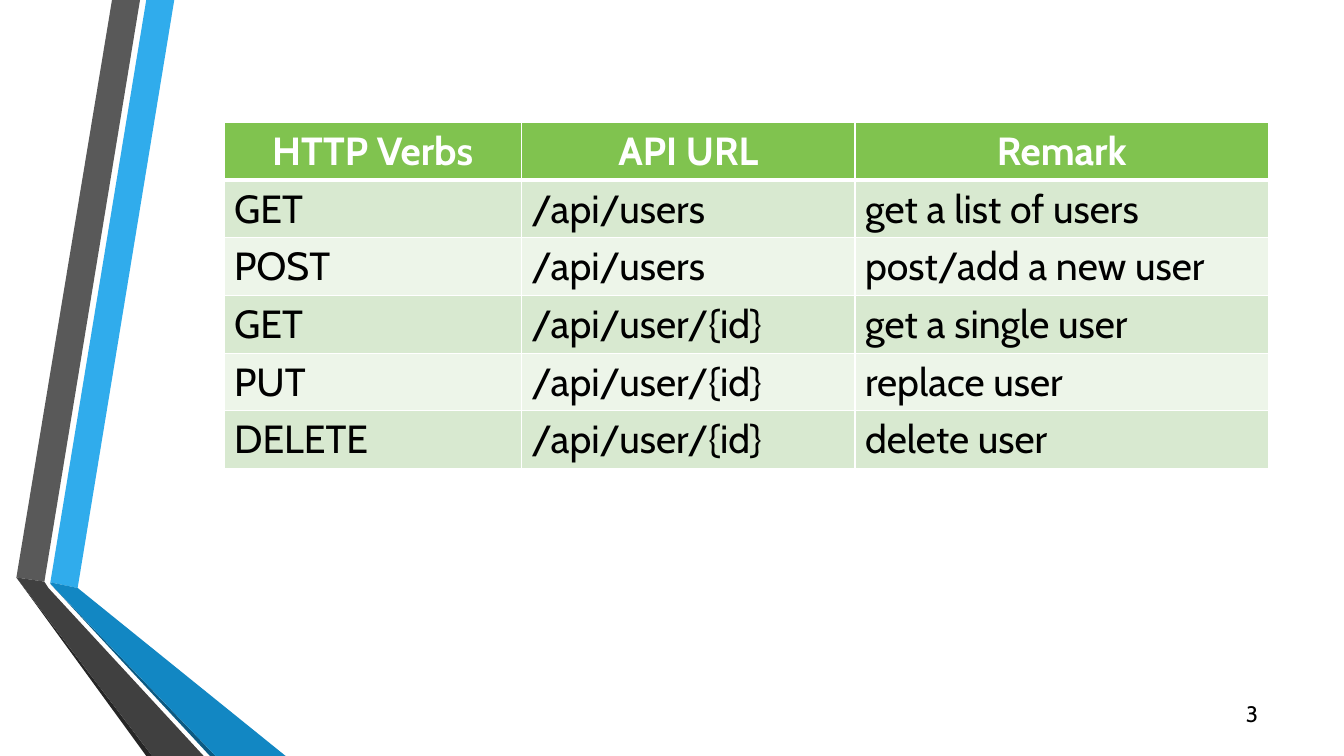
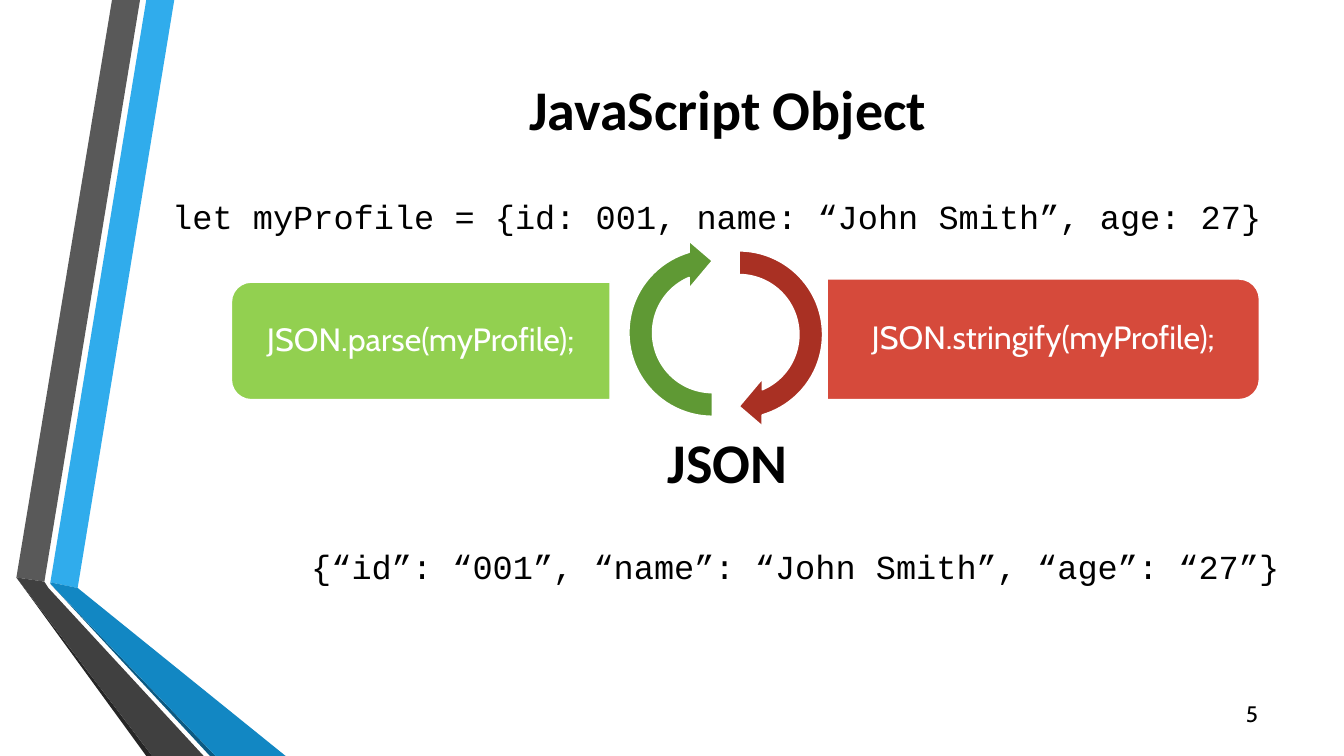
from lxml import etree
from pptx import Presentation
from pptx.dml.color import RGBColor
from pptx.enum.shapes import MSO_SHAPE
from pptx.enum.text import MSO_ANCHOR, PP_ALIGN
from pptx.oxml.ns import qn
from pptx.util import Pt

LEFT, CENTER, RIGHT = PP_ALIGN.LEFT, PP_ALIGN.CENTER, PP_ALIGN.RIGHT
TOP, MIDDLE = MSO_ANCHOR.TOP, MSO_ANCHOR.MIDDLE
ROUNDED_TOP = MSO_SHAPE.ROUND_2_SAME_RECTANGLE
CIRCULAR_ARROW = MSO_SHAPE.CIRCULAR_ARROW

# Colours
WHITE = RGBColor(0xFF, 0xFF, 0xFF)
BLACK = RGBColor(0x00, 0x00, 0x00)
SKY_BLUE = RGBColor(0x30, 0xAC, 0xEC)
BLUE = RGBColor(0x12, 0x87, 0xC3)
NAVY = RGBColor(0x0C, 0x5A, 0x82)
LIGHT_GRAY = RGBColor(0x59, 0x59, 0x59)
DARK_GRAY = RGBColor(0x40, 0x40, 0x40)
CHARCOAL = RGBColor(0x26, 0x26, 0x26)
HEADER_GREEN = RGBColor(0x80, 0xC3, 0x4F)
ROW_GREEN = RGBColor(0xD8, 0xE9, 0xD0)
ROW_PALE = RGBColor(0xED, 0xF5, 0xE9)
LIME = RGBColor(0x92, 0xD0, 0x50)
LEAF = RGBColor(0x5F, 0x99, 0x34)
RED = RGBColor(0xD6, 0x4A, 0x3B)
DARK_RED = RGBColor(0xA9, 0x30, 0x23)

# Folded bands at the left edge, as outlines in points
BANDS = [
    (SKY_BLUE, [(36, 416), (55.5, 420), (124.5, 0), (104.5, 0)]),
    (LIGHT_GRAY, [(100, 0), (80, 0), (11.7, 412.5), (31.7, 415.5)]),
    (CHARCOAL, [(11.7, 412.5), (104.5, 540), (108.7, 540)]),
    (NAVY, [(36, 417), (150, 540), (154, 540)]),
    (BLUE, [(36, 416), (36, 417), (154, 540), (204, 540), (55.5, 420)]),
    (DARK_GRAY, [(145.5, 540), (34.6, 420), (31.7, 415.5), (11.7, 412.5), (108.7, 540)]),
]

# Text formats
NUMBER = {"name": "Cabin", "size": Pt(16), "bold": False, "color": BLACK}
HEADING = {"name": "Calibri", "size": Pt(40), "bold": True, "color": BLACK}
CODE = {"name": "Courier New", "size": Pt(24), "bold": False, "color": BLACK}
LABEL = {"name": "Cabin", "size": Pt(23), "bold": False, "color": WHITE}
TABLE_HEAD = {"name": "Cabin", "size": Pt(28), "bold": True, "color": WHITE}
TABLE_BODY = TABLE_HEAD | {"bold": False, "color": BLACK}


class Deck:
    def __init__(self):
        self.presentation = Presentation()
        self.presentation.slide_width = Pt(960)
        self.presentation.slide_height = Pt(540)
        self.slide = None

    def add_slide(self, number):
        layout = self.presentation.slide_layouts[6]
        self.slide = self.presentation.slides.add_slide(layout)
        for color, outline in BANDS:
            self.band(color, outline)
        self.text(str(number), (862.6, 495.4, 36, 28.8), NUMBER, RIGHT, MIDDLE)

    def band(self, color, outline):
        points = [(Pt(x), Pt(y)) for x, y in outline]
        builder = self.slide.shapes.build_freeform(*points[0])
        builder.add_line_segments(points[1:], close=True)
        shape = builder.convert_to_shape()
        self.paint(shape, color)
        shape.line.fill.background()

    def paint(self, shape, color):
        shape.shadow.inherit = False
        shape.fill.solid()
        shape.fill.fore_color.rgb = color

    def styled_run(self, paragraph, text, style, align):
        paragraph.alignment = align
        run = paragraph.add_run()
        run.text = text
        for name, value in style.items():
            if name == "color":
                run.font.color.rgb = value
            else:
                setattr(run.font, name, value)

    def text(self, text, box, style, align=LEFT, anchor=TOP):
        shape = self.slide.shapes.add_textbox(*map(Pt, box))
        frame = shape.text_frame
        settings = {"word_wrap": True, "vertical_anchor": anchor, "margin_left": 0,
                    "margin_right": 0, "margin_top": 0, "margin_bottom": 0}
        for name, value in settings.items():
            setattr(frame, name, value)
        self.styled_run(frame.paragraphs[0], text, style, align)
        return shape

    def turned_shape(self, kind, box, rotation, color, adjustments):
        """Place a quarter-turned shape so that it covers box as seen."""
        left, top, width, height = box
        shift = (width - height) / 2
        frame = (left + shift, top - shift, height, width)
        shape = self.slide.shapes.add_shape(kind, *map(Pt, frame))
        shape.rotation = rotation
        for index, value in enumerate(adjustments):
            shape.adjustments[index] = value
        self.paint(shape, color)
        shape.line.color.rgb = WHITE
        shape.line.width = Pt(1.25)

    def call_box(self, text, box, rotation, color):
        self.turned_shape(ROUNDED_TOP, box, rotation, color, (0.17, 0))
        label = self.text(text, box, LABEL, CENTER, MIDDLE)
        label.text_frame.paragraphs[0].line_spacing = 0.9

    def cycle_arrow(self, left, top, rotation, color):
        self.turned_shape(CIRCULAR_ARROW, (left, top, 136.8, 136.8), rotation, color,
                          (0.125, 11.42, 204.58, 108, 0.125))

    def borders(self, cell, widths):
        properties = cell._tc.get_or_add_tcPr()
        for side, width in widths.items():
            line = etree.SubElement(properties, qn(f"a:ln{side}"), w=str(Pt(width)))
            fill = etree.SubElement(line, qn("a:solidFill"))
            etree.SubElement(fill, qn("a:srgbClr"), val=str(WHITE))

    def table(self, rows, left, top, widths, row_height):
        frame = self.slide.shapes.add_table(
            len(rows), len(widths), Pt(left), Pt(top),
            Pt(sum(widths)), Pt(row_height * len(rows)))
        table = frame.table
        for column, width in zip(table.columns, widths):
            column.width = Pt(width)
        for row_index, values in enumerate(rows):
            header = row_index == 0
            color = HEADER_GREEN if header else (ROW_PALE, ROW_GREEN)[row_index % 2]
            style, align = (TABLE_HEAD, CENTER) if header else (TABLE_BODY, LEFT)
            edges = {"L": 1, "R": 1, "T": 3 if row_index == 1 else 1, "B": 3 if header else 1}
            for column_index, value in enumerate(values):
                cell = table.cell(row_index, column_index)
                self.borders(cell, edges)
                cell.fill.solid()
                cell.fill.fore_color.rgb = color
                self.styled_run(cell.text_frame.paragraphs[0], value, style, align)


def main():
    deck = Deck()

    # Table of HTTP verbs
    deck.add_slide(3)
    deck.table([
        ("HTTP Verbs", "API URL", "Remark"),
        ("GET", "/api/users", "get a list of users"),
        ("POST", "/api/users", "post/add a new user"),
        ("GET", "/api/user/{id}", "get a single user"),
        ("PUT", "/api/user/{id}", "replace user"),
        ("DELETE", "/api/user/{id}", "delete user"),
    ], 160, 87.5, (212.4, 238.4, 295.2), 41.2)

    # Object and JSON, each with its code line
    deck.add_slide(5)
    for heading, top in (("JavaScript Object", 53), ("JSON", 305)):
        deck.text(heading, (103.7, top, 832.3, 49), HEADING, CENTER)
    for code, left, top in (
        ("let myProfile = {id: 001, name: “John Smith”, age: 27}", 123, 140),
        ("{“id”: “001”, “name”: “John Smith”, “age”: “27”}", 222.3, 390),
    ):
        deck.text(code, (left, top, 936 - left, 28), CODE)

    # Conversion cycle
    deck.call_box("JSON.parse(myProfile);", (165.2, 201.4, 270.7, 84.2), 270, LIME)
    deck.call_box("JSON.stringify(myProfile);", (590.8, 199.2, 308.9, 86.4), 90, RED)
    deck.cycle_arrow(459.4, 170.6, 90, DARK_RED)
    deck.cycle_arrow(440.6, 169.2, 270, LEAF)

    deck.presentation.save("out.pptx")


if __name__ == "__main__":
    main()
